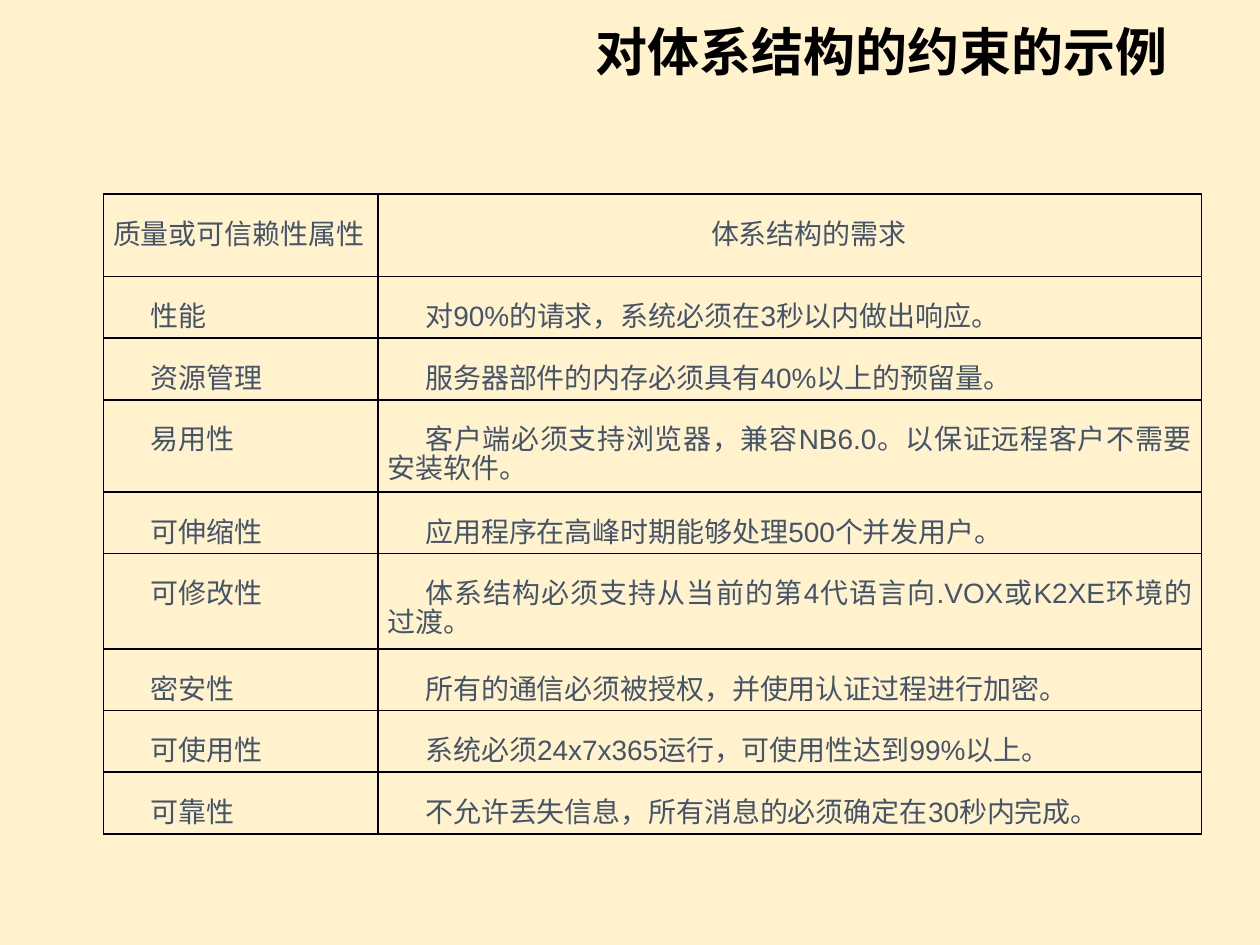
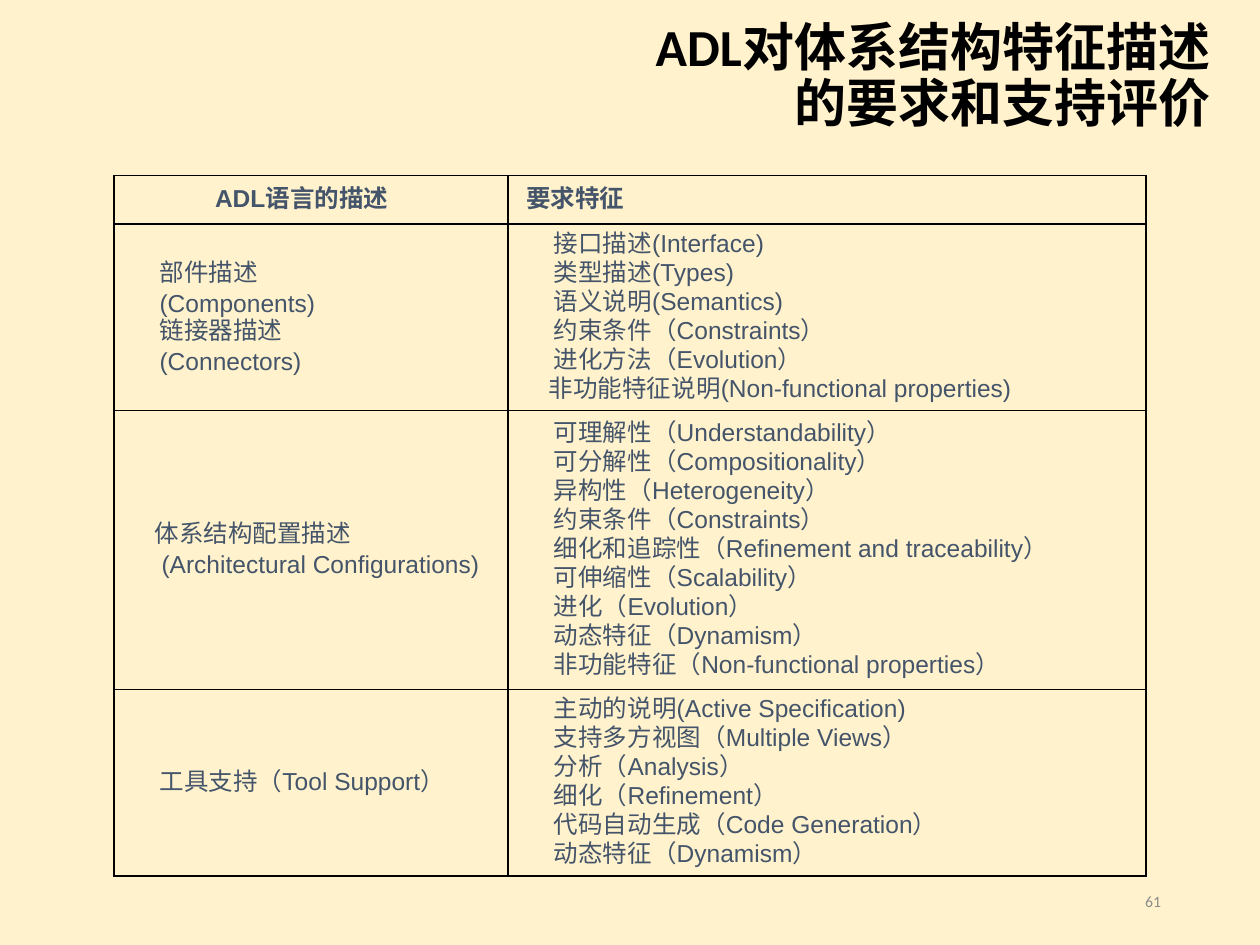
"""Build two slides of tables on architecture needs and ADL traits."""
from dataclasses import dataclass

from lxml import etree
from pptx import Presentation
from pptx.dml.color import RGBColor
from pptx.enum import text as t
from pptx.oxml.ns import qn
from pptx.util import Pt


@dataclass(frozen=True)
class Theme:
    """Colours, fonts and type sizes in points."""
    back: str = "FFF2CC"
    ink: str = "000000"
    body: str = "44546A"
    faint: str = "8C8C8C"
    head: str = "Calibri"
    text: str = "Arial"
    title: float = 29.7
    large: float = 16
    small: float = 14
    note: float = 9
    lead: float = 16.6
    dent: float = 21.6


THEME = Theme()
LEFT, MID = t.PP_ALIGN.LEFT, t.PP_ALIGN.CENTER
RIGHT, JUST = t.PP_ALIGN.RIGHT, t.PP_ALIGN.JUSTIFY

NEEDS = [
    ("性能", "对90%的请求，系统必须在3秒以内做出响应。"),
    ("资源管理", "服务器部件的内存必须具有40%以上的预留量。"),
    ("易用性", "客户端必须支持浏览器，兼容NB6.0。以保证远程客户不需要安装软件。"),
    ("可伸缩性", "应用程序在高峰时期能够处理500个并发用户。"),
    ("可修改性", "体系结构必须支持从当前的第4代语言向.VOX或K2XE环境的过渡。"),
    ("密安性", "所有的通信必须被授权，并使用认证过程进行加密。"),
    ("可使用性", "系统必须24x7x365运行，可使用性达到99%以上。"),
    ("可靠性", "不允许丢失信息，所有消息的必须确定在30秒内完成。"),
]

# A line is text, or text with its own first-line indent.
TRAITS = [
    (["部件描述", "(Components)", "链接器描述", "(Connectors)"],
     ["接口描述(Interface)", "类型描述(Types)", "语义说明(Semantics)",
      "约束条件（Constraints）", "进化方法（Evolution）",
      ("非功能特征说明(Non-functional properties)", 18.7)]),
    ([("体系结构配置描述", 18.7), ("(Architectural Configurations)", 22.7)],
     ["可理解性（Understandability）", "可分解性（Compositionality）",
      "异构性（Heterogeneity）", "约束条件（Constraints）",
      "细化和追踪性（Refinement and traceability）",
      "可伸缩性（Scalability）", "进化（Evolution）",
      "动态特征（Dynamism）", "非功能特征（Non-functional properties）"]),
    (["工具支持（Tool Support）"],
     ["主动的说明(Active Specification)", "支持多方视图（Multiple Views）",
      "分析（Analysis）", "细化（Refinement）",
      "代码自动生成（Code Generation）", "动态特征（Dynamism）"]),
]


def write(frame, lines, size, color=THEME.body, font=THEME.text,
          bold=False, align=LEFT, lead=None, dent=0):
    """Fill a text frame with one formatted paragraph per line."""
    for i, line in enumerate(lines):
        words, inset = line if isinstance(line, tuple) else (line, dent)
        para = frame.add_paragraph() if i else frame.paragraphs[0]
        para.text = words
        para.alignment = align
        if lead:
            para.line_spacing = lead
        props = para._p.get_or_add_pPr()
        props.set("marL", "0")
        props.set("indent", str(Pt(inset)))
        for gap in para._p.findall(qn("a:br")):
            etree.SubElement(gap, qn("a:rPr"), sz=str(round(size * 100)))
        for run in para.runs:
            run.font.size = Pt(size)
            run.font.name = font
            run.font.bold = bold
            run.font.color.rgb = RGBColor.from_string(color)


def place(shape, x, y, w, h):
    """Set the place and size of a shape."""
    shape.left, shape.top, shape.width, shape.height = map(Pt, (x, y, w, h))


def add_slide(deck, title, box):
    """Add a slide with a right-aligned title."""
    slide = deck.slides.add_slide(deck.slide_layouts[5])
    head = slide.shapes.title
    place(head, *box)
    frame = head.text_frame
    frame.word_wrap = True
    frame.auto_size = t.MSO_AUTO_SIZE.NONE
    frame.vertical_anchor = t.MSO_ANCHOR.MIDDLE
    write(frame, [title], THEME.title, color=THEME.ink, font=THEME.head,
          bold=True, align=RIGHT, lead=0.9)
    return slide


def edge(cell):
    """Draw thin lines around a cell and clear its fill."""
    props = cell._tc.get_or_add_tcPr()
    for side in ("lnL", "lnR", "lnT", "lnB"):
        line = etree.SubElement(props, qn("a:" + side), w=str(Pt(1)))
        fill = etree.SubElement(line, qn("a:solidFill"))
        etree.SubElement(fill, qn("a:srgbClr"), val=THEME.ink)
    cell.fill.background()


def add_grid(slide, x, y, cols, rows):
    """Add a plain ruled table with the given column and row sizes."""
    grid = slide.shapes.add_table(len(rows), len(cols), Pt(x), Pt(y),
                                  Pt(sum(cols)), Pt(sum(rows))).table
    grid.first_row = grid.horz_banding = False
    for col, width in zip(grid.columns, cols):
        col.width = Pt(width)
    for row, height in zip(grid.rows, rows):
        row.height = Pt(height)
    return grid


def put(cell, lines, size, side, top=0, anchor=t.MSO_ANCHOR.TOP, **form):
    """Rule a cell, set its margins and write its lines."""
    edge(cell)
    cell.margin_left = cell.margin_right = Pt(side)
    cell.margin_top, cell.margin_bottom = Pt(top), 0
    cell.vertical_anchor = anchor
    write(cell.text_frame, lines, size, lead=Pt(THEME.lead), **form)


def needs_slide(deck):
    """Show sample constraints, each one line below its cell's top."""
    slide = add_slide(deck, "对体系结构的约束的示例", (54, 10, 620.6, 42.5))
    one = 35.2
    rows = [47.2, one, one, 52.7, one, 54.6, one, one, one]
    grid = add_grid(slide, 59.2, 110.9, (156.9, 470.6), rows)
    form = dict(size=THEME.large, side=5.4, top=THEME.lead)
    put(grid.cell(0, 0), ["质量或可信赖性属性"], align=JUST, **form)
    put(grid.cell(0, 1), ["体系结构的需求"], align=MID, dent=THEME.dent, **form)
    for r, pair in enumerate(NEEDS, 1):
        for c, words in enumerate(pair):
            put(grid.cell(r, c), [words], align=JUST, dent=THEME.dent, **form)


def traits_slide(deck):
    """Show the traits that an ADL has to describe."""
    slide = add_slide(deck, "ADL对体系结构特征描述\v的要求和支持评价",
                      (64.8, 15, 634.3, 58.3))
    note = slide.shapes.add_textbox(0, 0, 0, 0)
    place(note, 508.5, 500.5, 162, 28.8)
    note.text_frame.word_wrap = True
    note.text_frame.vertical_anchor = t.MSO_ANCHOR.MIDDLE
    write(note.text_frame, ["61"], THEME.note, color=THEME.faint,
          font=THEME.head, align=RIGHT)
    grid = add_grid(slide, 65.1, 100.3, (225.3, 364.4),
                    (27.8, 106.5, 159.5, 106.5))
    form = dict(size=THEME.small, side=4.5, anchor=t.MSO_ANCHOR.MIDDLE)
    heads = [("ADL语言的描述", 53.3), ("要求特征", 5.8)]
    for c, head in enumerate(heads):
        put(grid.cell(0, c), [head], bold=True, **form)
    for r, pair in enumerate(TRAITS, 1):
        for c, (lines, align) in enumerate(zip(pair, (LEFT, JUST))):
            put(grid.cell(r, c), lines, align=align, dent=THEME.dent, **form)


def main():
    """Build and save the deck."""
    deck = Presentation()
    deck.slide_width, deck.slide_height = Pt(720), Pt(540)
    fill = deck.slide_master.background.fill
    fill.solid()
    fill.fore_color.rgb = RGBColor.from_string(THEME.back)
    needs_slide(deck)
    traits_slide(deck)
    deck.save("out.pptx")


main()
